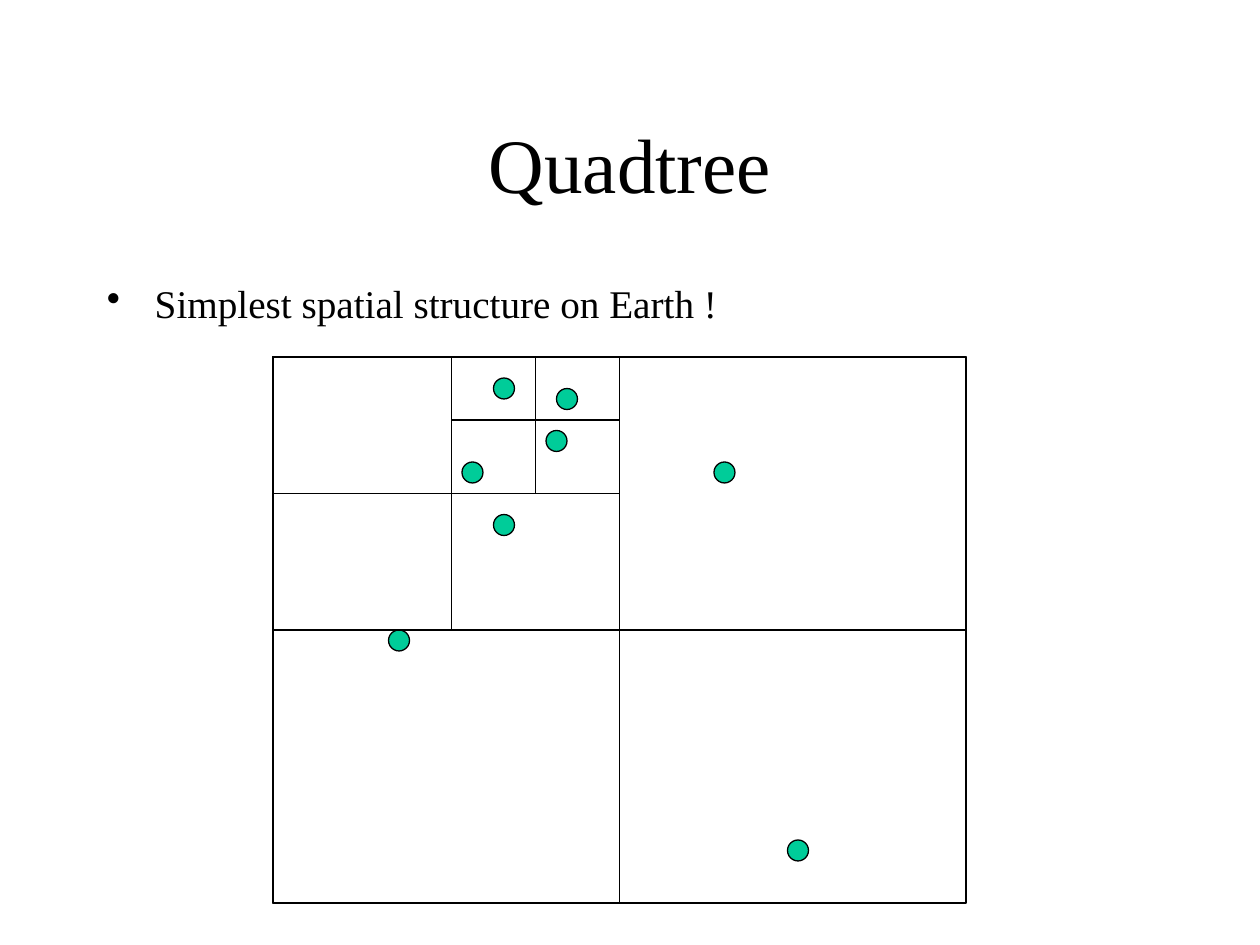
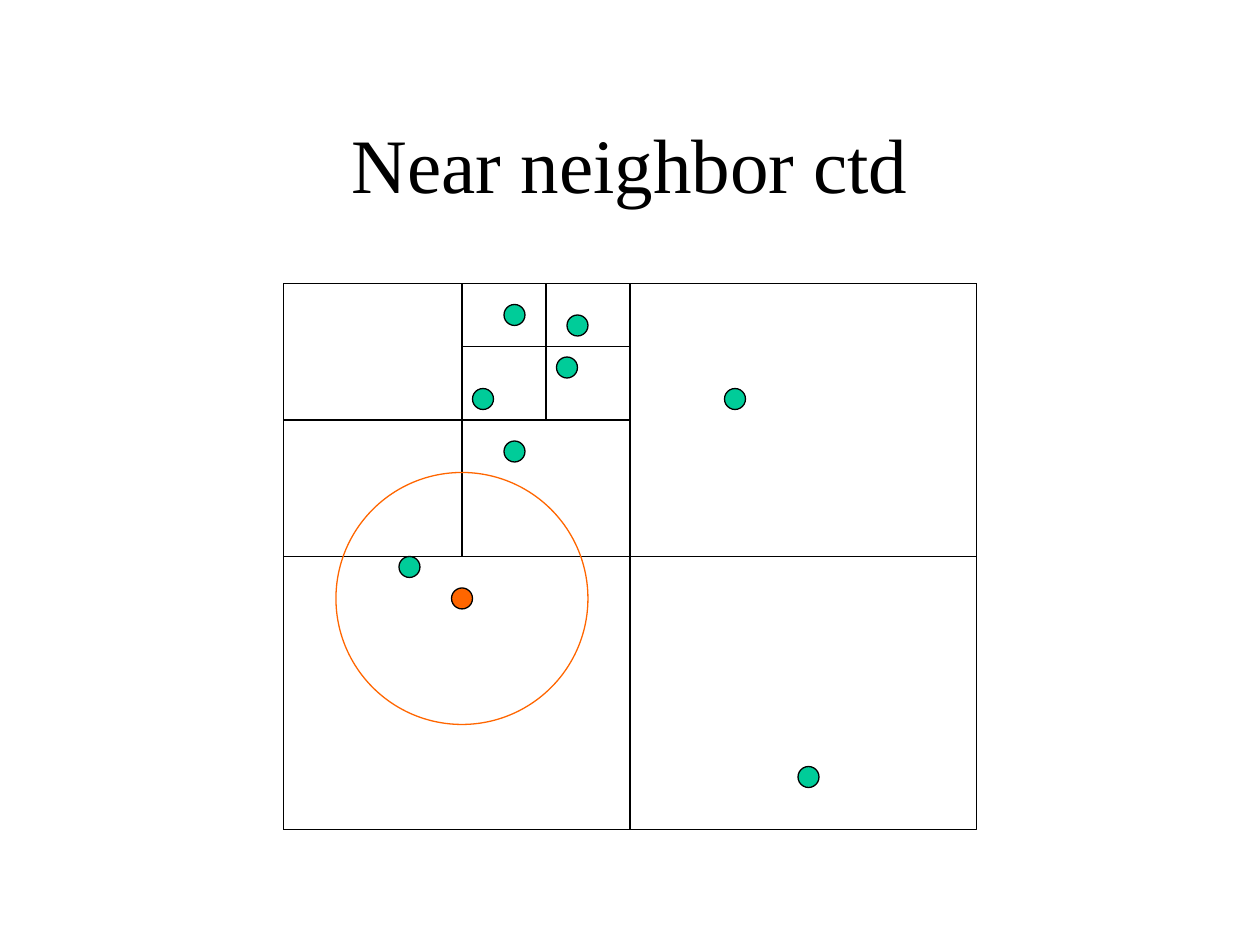
from lxml import etree
from pptx import Presentation
from pptx.dml.color import RGBColor
from pptx.enum.shapes import MSO_CONNECTOR, MSO_SHAPE
from pptx.enum.text import MSO_ANCHOR, PP_ALIGN
from pptx.oxml.ns import qn
from pptx.util import Inches, Pt

LINE = MSO_CONNECTOR.STRAIGHT
RECTANGLE, OVAL = MSO_SHAPE.RECTANGLE, MSO_SHAPE.OVAL
POINT = MSO_SHAPE.FLOWCHART_CONNECTOR
MIDDLE, TOP = MSO_ANCHOR.MIDDLE, MSO_ANCHOR.TOP
CENTER, LEFT = PP_ALIGN.CENTER, PP_ALIGN.LEFT

COLORS = {"ink": "000000", "site": "00CC99", "query": "FF6600"}
FONT = "Times New Roman"
BLANK = 6

# Quadtree, in grid units from its top left corner
WIDTH, HEIGHT = 66, 52
HALF_W, HALF_H = WIDTH / 2, HEIGHT / 2
QUARTER_H = HALF_H / 2
SPLIT = 17                      # column where the first quadrant divides
SMALL_W = HALF_W - SPLIT
CELLS = [
    (0, 0, WIDTH, HEIGHT),
    (0, 0, HALF_W, HALF_H),
    (HALF_W, 0, HALF_W, HALF_H),
    (0, HALF_H, HALF_W, HALF_H),
    (SPLIT, 0, SMALL_W, QUARTER_H),
    (SPLIT, QUARTER_H, SMALL_W, QUARTER_H),
    (0, 0, SPLIT, QUARTER_H),
]
MID_X = SPLIT + SMALL_W / 2
DIVIDERS = [(SPLIT, 6, HALF_W, 6), (MID_X, 0, MID_X, QUARTER_H)]
SITES = [(19, 11), (50, 47), (43, 11), (22, 16),
         (12, 27), (28, 4), (27, 8), (22, 3)]


class Deck:
    """Holds the style and the current slide; lengths are in grid units."""

    COLUMNS, ROWS = 120, 90

    def __init__(self):
        self.file = Presentation()
        self.file.slide_width, self.file.slide_height = Inches(10), Inches(7.5)
        self.slide = None

    def x(self, columns):
        return round(self.file.slide_width * columns / self.COLUMNS)

    def y(self, rows):
        return round(self.file.slide_height * rows / self.ROWS)

    def color(self, name):
        return RGBColor.from_string(COLORS[name])

    def new_slide(self, title):
        self.slide = self.file.slides.add_slide(self.file.slide_layouts[BLANK])
        self.text(title, (9, 8, 102, 15), 44, CENTER, MIDDLE)

    def text(self, words, box, size, align=LEFT, anchor=TOP):
        left, top, width, height = box
        frame = self.slide.shapes.add_textbox(
            self.x(left), self.y(top), self.x(width), self.y(height)).text_frame
        frame.word_wrap = True
        frame.vertical_anchor = anchor
        paragraph = frame.paragraphs[0]
        paragraph.text = words
        paragraph.alignment = align
        paragraph.font.name = FONT
        paragraph.font.size = Pt(size)
        paragraph.font.color.rgb = self.color("ink")
        return paragraph

    def bullet(self, words, box, size):
        paragraph = self.text(words, box, size)
        paragraph.space_before = Pt(8)
        properties = paragraph._p.get_or_add_pPr()
        properties.set("marL", str(Inches(0.38)))
        properties.set("indent", str(Inches(-0.38)))
        etree.SubElement(properties, qn("a:buChar"), char="•")

    def shape(self, kind, box, fill=None, line="ink"):
        left, top, width, height = box
        shape = self.slide.shapes.add_shape(
            kind, self.x(left), self.y(top), self.x(width), self.y(height))
        shape.shadow.inherit = False
        if fill:
            shape.fill.solid()
            shape.fill.fore_color.rgb = self.color(fill)
        else:
            shape.fill.background()
        self.stroke(shape.line, line)

    def circle(self, kind, center, radius, fill=None, line="ink"):
        box = (center[0] - radius, center[1] - radius, 2 * radius, 2 * radius)
        self.shape(kind, box, fill, line)

    def divider(self, x1, y1, x2, y2):
        connector = self.slide.shapes.add_connector(
            LINE, self.x(x1), self.y(y1), self.x(x2), self.y(y2))
        self.stroke(connector.line, "ink")
        etree.SubElement(connector._element.spPr, qn("a:effectLst"))

    def stroke(self, line, color):
        line.color.rgb = self.color(color)
        line.width = Pt(0.75)

    def quadtree(self, left, top):
        for column, row in SITES:
            self.circle(POINT, (left + column, top + row), 1, "site")
        for column, row, width, height in CELLS:
            self.shape(RECTANGLE, (left + column, top + row, width, height))
        for x1, y1, x2, y2 in DIVIDERS:
            self.divider(left + x1, top + y1, left + x2, top + y2)


def main():
    deck = Deck()

    # The structure
    deck.new_slide("Quadtree")
    deck.bullet("Simplest spatial structure on Earth !", (9, 26, 103, 6), 22.4)
    deck.quadtree(26, 34)

    # The search around a query point
    deck.new_slide("Near neighbor ctd")
    deck.quadtree(27, 27)
    query = (44, 57)
    deck.circle(POINT, query, 1, "query")
    deck.circle(OVAL, query, 12, line="query")

    deck.file.save("out.pptx")


if __name__ == "__main__":
    main()
